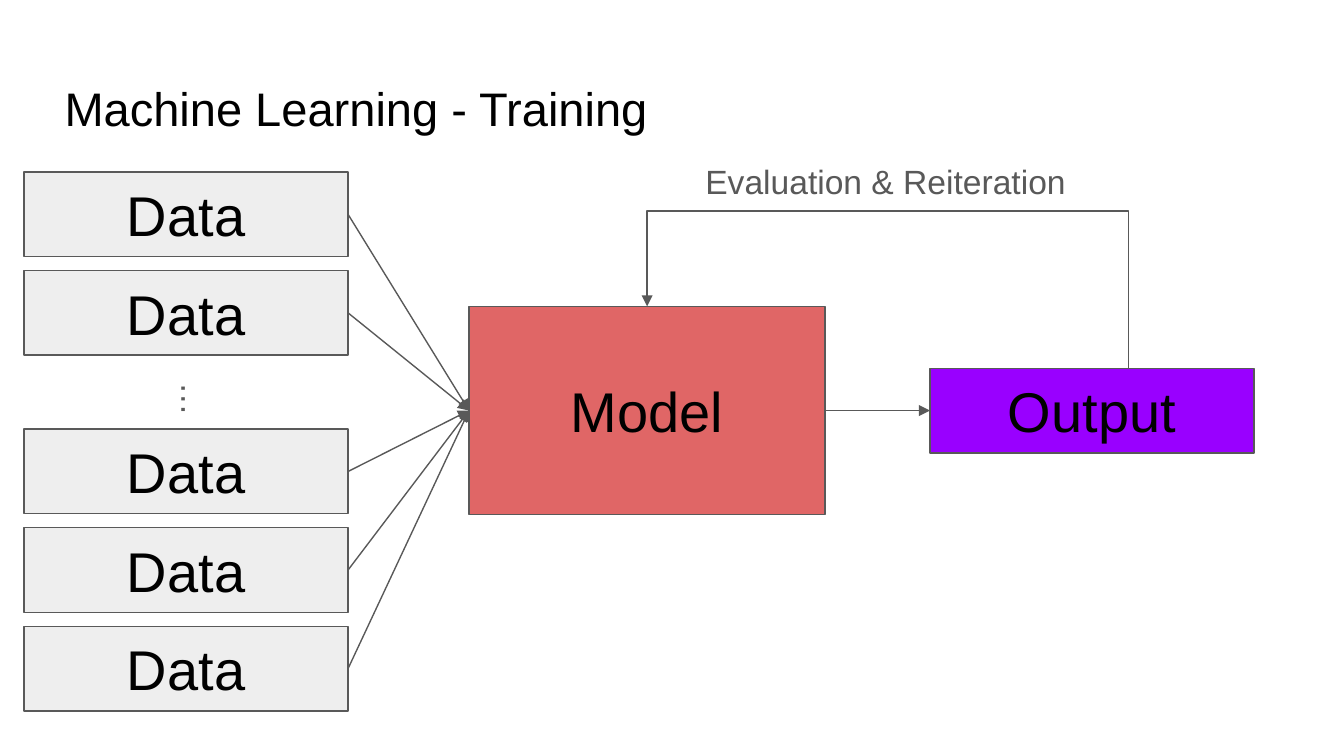
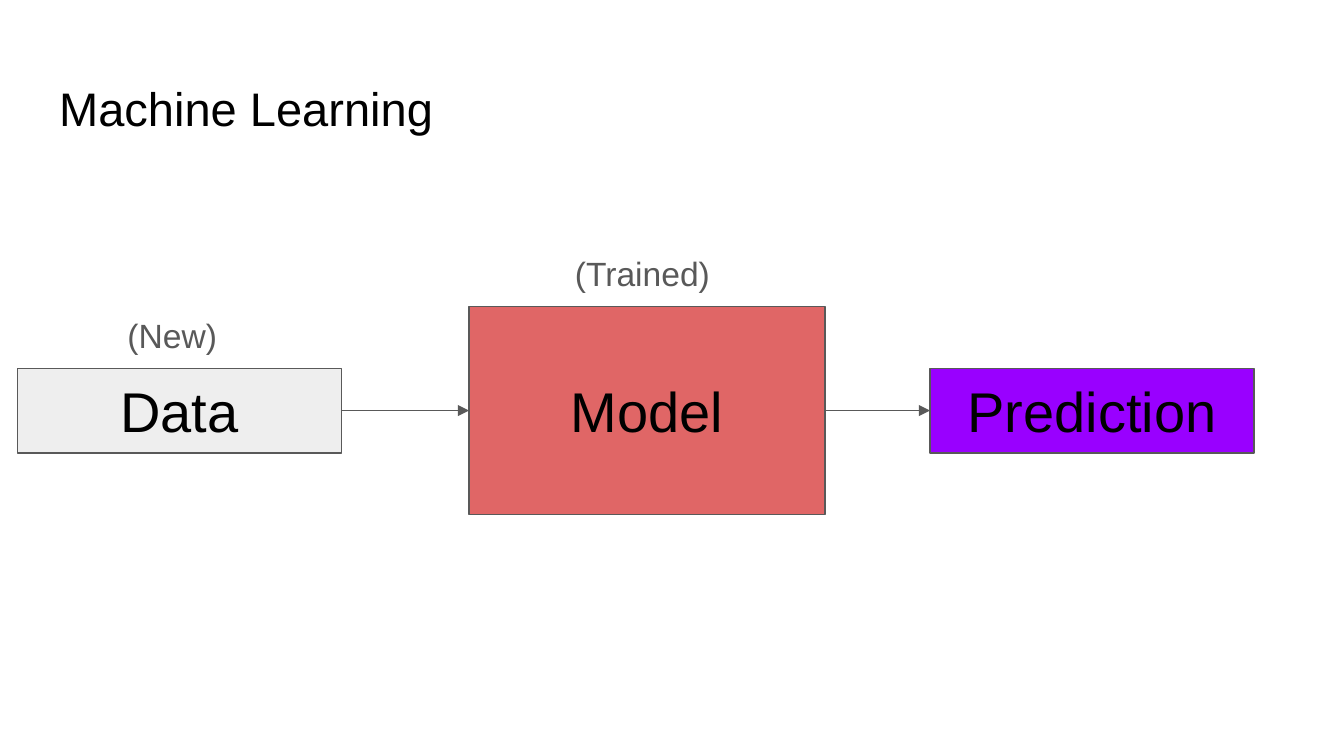
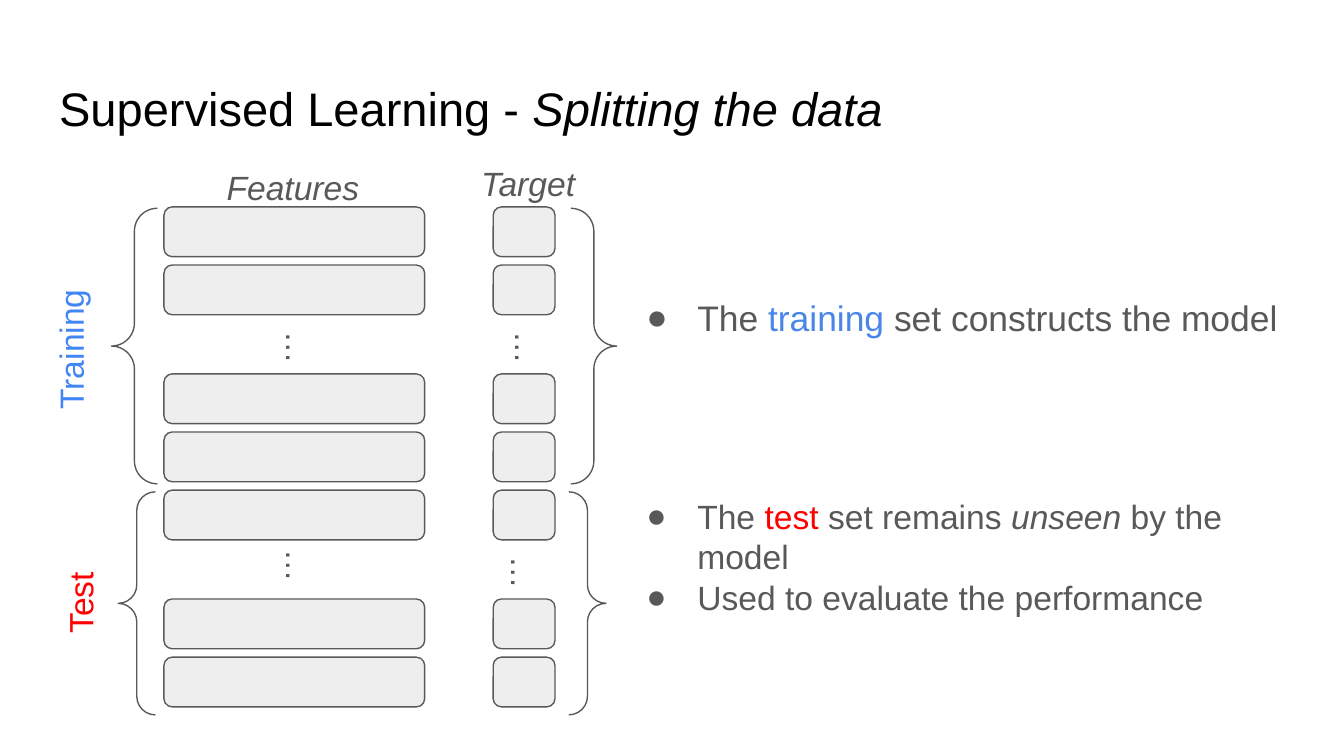
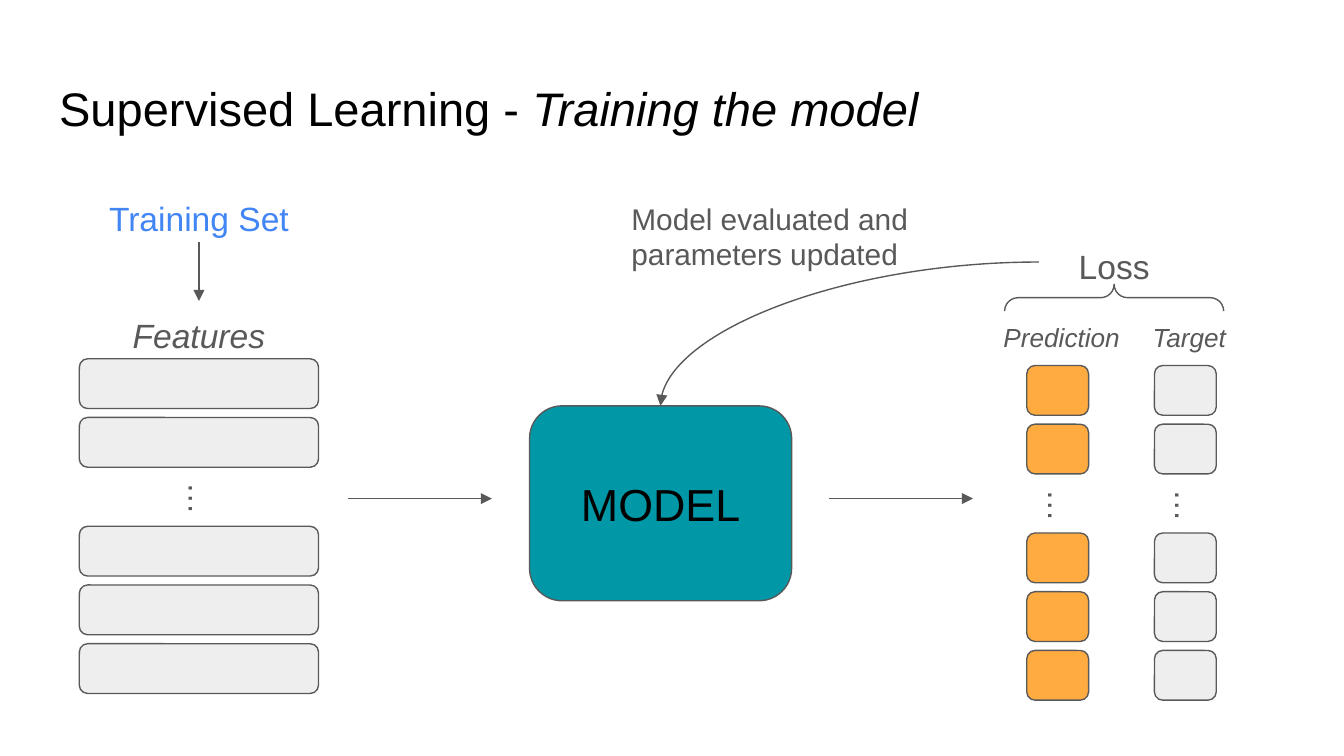
from lxml import etree
from pptx import Presentation
from pptx import util as u
from pptx.dml.color import RGBColor
from pptx.enum import shapes, text
from pptx.oxml import ns

COLORS = {
    "ink": "000000", "gray": "595959", "card": "EEEEEE", "model": "E06666",
    "output": "9900FF", "teal": "0097A7", "orange": "FFAB40", "white": "FFFFFF",
    "train": "4285F4", "train_word": "4A86E8", "test": "FF0000",
}
FONT = "Arial"
INSET = 0.1
SLIDE_W = 10
ROW_H, ROW_BREAK = 0.37, 0.81
DATA_W, DATA_H, DATA_BREAK = 2.41, 0.63, 1.18
KIND = shapes.MSO_SHAPE
LEFT, CENTER = text.PP_ALIGN.LEFT, text.PP_ALIGN.CENTER
TOP, MIDDLE = text.MSO_ANCHOR.TOP, text.MSO_ANCHOR.MIDDLE


def rgb(name):
    """Return the palette colour with this name."""
    return RGBColor.from_string(COLORS[name])


def inches(box):
    """Turn numbers into lengths."""
    return [u.Inches(v) for v in box]


def sub(parent, tag, **attrs):
    """Append a DrawingML element."""
    return etree.SubElement(parent, ns.qn(tag), attrs)


def add_bullet(p):
    """Give a paragraph a hanging round bullet."""
    pPr = p._p.get_or_add_pPr()
    pPr.set("marL", str(u.Inches(0.5)))
    pPr.set("indent", str(u.Inches(-0.38)))
    sub(sub(pPr, "a:buClr"), "a:srgbClr", val=COLORS["gray"])
    sub(pPr, "a:buFont", typeface=FONT)
    sub(pPr, "a:buChar", char="●")


def write(tf, content, size=18, color="gray", italic=False, align=LEFT,
          anchor=TOP, bullet=False, raised=False):
    """Write a string, or paragraphs of (text, overrides) runs, into a frame."""
    tf.word_wrap = True
    tf.auto_size = text.MSO_AUTO_SIZE.NONE
    tf.vertical_anchor = anchor
    tf.margin_left = tf.margin_right = tf.margin_top = tf.margin_bottom = u.Inches(INSET)
    paragraphs = [[(content, {})]] if isinstance(content, str) else content
    for i, runs in enumerate(paragraphs):
        p = tf.add_paragraph() if i else tf.paragraphs[0]
        p.alignment = align
        if bullet:
            add_bullet(p)
        for words, change in runs:
            r = p.add_run()
            r.text = words
            r.font.name, r.font.size = FONT, u.Pt(size)
            r.font.italic = change.get("italic", italic)
            r.font.color.rgb = rgb(change.get("color", color))
            if raised:
                r._r.get_or_add_rPr().set("baseline", "30000")


def add_label(s, content, box, rotation=0, fill=None, **fmt):
    """Add a text box."""
    sp = s.shapes.add_textbox(*inches(box))
    sp.rotation = rotation
    if fill:
        sp.fill.solid()
        sp.fill.fore_color.rgb = rgb(fill)
    write(sp.text_frame, content, **fmt)
    return sp


def add_block(s, box, fill=None, kind=KIND.RECTANGLE, content=None, size=30):
    """Add an outlined shape with optional fill and centred text."""
    sp = s.shapes.add_shape(kind, *inches(box))
    sp.shadow.inherit = False
    if fill:
        sp.fill.solid()
        sp.fill.fore_color.rgb = rgb(fill)
    else:
        sp.fill.background()
    sp.line.color.rgb, sp.line.width = rgb("gray"), u.Pt(0.75)
    if content:
        write(sp.text_frame, content, size=size, color="ink", align=CENTER, anchor=MIDDLE)
    return sp


def add_arrow(s, start=(0, 0), end=(0, 0), begin=None, finish=None,
              kind=shapes.MSO_CONNECTOR.STRAIGHT, preset=None, adjust=()):
    """Add an arrow between points or (shape, side) joints."""
    c = s.shapes.add_connector(kind, *inches([*start, *end]))
    if begin:
        c.begin_connect(*begin)
    if finish:
        c.end_connect(*finish)
    c.line.color.rgb, c.line.width = rgb("gray"), u.Pt(0.75)
    sub(c.line._get_or_add_ln(), "a:tailEnd", type="triangle")
    spPr = c._element.spPr
    sub(spPr, "a:effectLst")
    if preset:
        geom = spPr.find(ns.qn("a:prstGeom"))
        geom.set("prst", preset)
        guides = geom.find(ns.qn("a:avLst"))
        for i, value in enumerate(adjust, 1):
            sub(guides, "a:gd", name=f"adj{i}", fmla=f"val {value}")
    return c


def turn_half(c):
    """Replace the two flips of a connector by a half turn."""
    xfrm = c._element.spPr.find(ns.qn("a:xfrm"))
    for flip in ("flipH", "flipV"):
        xfrm.attrib.pop(flip, None)
    xfrm.set("rot", "10800000")


def add_stack(s, box, groups, row_h=ROW_H, step=ROW_BREAK, fill="card",
              kind=KIND.ROUNDED_RECTANGLE, content=None, dots=(), dots_fill=None):
    """Fill a box with groups of equal rows and place dots in the breaks."""
    x, y, w, h = box
    breaks = len(groups) - 1
    pitch = (h - row_h - step * breaks) / (sum(groups) - 1 - breaks)
    rows, top = [], y
    for count in groups:
        for i in range(count):
            rows.append(add_block(s, (x, top, w, row_h), fill, kind, content))
            top += pitch if i < count - 1 else step
    for dx, dy, dw, dh in dots:
        add_label(s, "…", (x + dx, y + dy, dw, dh), rotation=90, fill=dots_fill,
                  size=30, raised=True)
    return rows


def add_slide(prs, heading, emphasis="", left=0.34):
    """Add a title-only slide with its heading."""
    s = prs.slides.add_slide(prs.slide_layouts[5])
    title = s.shapes.title
    title.left, title.top, title.width, title.height = inches((left, 0.49, 9.32, 0.63))
    runs = [(heading, {})]
    if emphasis:
        runs.append((emphasis, {"italic": True}))
    write(title.text_frame, [runs], size=25.2, color="ink")
    return s


def add_model_flow(s, box, result):
    """Place the model and its result at the two ends of a box."""
    x, y, w, h = box
    model = add_block(s, (x, y, 2.65, h), "model", content="Model")
    output = add_block(s, (x + w - DATA_W, y + (h - DATA_H) / 2, DATA_W, DATA_H),
                       "output", content=result)
    add_arrow(s, begin=(model, 3), finish=(output, 1))
    return model


def training_slide(prs, flow):
    """Show many data blocks feeding a model that is evaluated again."""
    s = add_slide(prs, "Machine Learning - Training", left=0.38)
    model = add_model_flow(s, flow, "Output")
    loop = add_arrow(s, (8.42, 2.74), finish=(model, 0), kind=shapes.MSO_CONNECTOR.ELBOW,
                     preset="bentConnector4", adjust=(700, 254400))
    turn_half(loop)
    data = add_stack(s, (0.18, 1.28, DATA_W, 4.01), (2, 3), DATA_H, DATA_BREAK,
                     kind=KIND.RECTANGLE, content="Data")
    for sp in data:
        add_arrow(s, begin=(sp, 3), finish=(model, 1))
    add_label(s, "…", (1.16, 2.66, 0.45, 0.63), rotation=90)
    add_label(s, "Evaluation & Reiteration", (5.15, 1.1, 2.93, 0.47))


def prediction_slide(prs, flow):
    """Show new data passing through the trained model."""
    s = add_slide(prs, "Machine Learning")
    model = add_model_flow(s, flow, "Prediction")
    data = add_block(s, (0.13, 2.74, DATA_W, DATA_H), "card", content="Data")
    add_arrow(s, begin=(data, 3), finish=(model, 1))
    add_label(s, "(New)", (0.85, 2.24, 0.95, 0.5))
    add_label(s, "(Trained)", (4.18, 1.78, 1.27, 0.5))


def splitting_slide(prs):
    """Show the rows divided into training and test sets."""
    s = add_slide(prs, "Supervised Learning - ", "Splitting the data")
    top, height, groups = 1.54, 3.72, (2, 3, 2)
    add_stack(s, (1.22, top, 1.94, height), groups,
              dots=[(0.87, 0.9, 0.5, 0.36), (0.87, 2.52, 0.5, 0.36)])
    add_stack(s, (3.67, top, 0.46, height), groups,
              dots=[(0.01, 0.78, 0.5, 0.59), (-0.02, 2.46, 0.5, 0.59)])
    add_label(s, "Features", (1.05, 1.14, 2.26, 0.37), italic=True, align=CENTER)
    add_label(s, "Target", (3.35, 1.11, 1.16, 0.43), italic=True, align=CENTER)
    for brace in ((0.83, 1.55, 3.76, 2.05), (0.88, 3.66, 3.63, 1.66)):
        add_block(s, brace, kind=KIND.DOUBLE_BRACE)
    add_label(s, "Training", (-0.09, 2.35, 1.16, 0.43), rotation=270, color="train")
    add_label(s, "Test", (0.16, 4.27, 0.8, 0.43), rotation=270, color="test", align=CENTER)
    add_label(s, [[("The ", {}), ("training", {"color": "train_word"}),
                   (" set constructs the model", {})]],
              (4.59, 2.1, 5.28, 0.63), size=19, bullet=True)
    add_label(s, [[("The ", {}), ("test", {"color": "test"}), (" set remains ", {}),
                   ("unseen", {"italic": True}), (" by the model", {})],
                  [("Used to evaluate the performance", {})]],
              (4.59, 3.59, 5.28, 1.62), bullet=True)


def fitting_slide(prs):
    """Show features, model, predictions and the loss that updates the model."""
    s = add_slide(prs, "Supervised Learning - ", "Training the model")
    groups, height = (2, 3), 2.49
    add_stack(s, (0.59, 2.67, 1.78, height), groups, dots=[(0.79, 0.91, 0.5, 0.33)])
    add_stack(s, (8.59, 2.72, 0.46, height), groups, dots=[(0, 0.78, 0.5, 0.59)])
    add_stack(s, (7.64, 2.72, 0.46, height), groups, fill="orange",
              dots=[(0.08, 0.7, 0.35, 0.59)], dots_fill="white")
    features = add_label(s, "Features", (0.44, 2.24, 2.08, 0.37), italic=True, align=CENTER)
    for name, x in (("Prediction", 7.32), ("Target", 8.27)):
        add_label(s, name, (x, 2.29, 1.16, 0.43), size=14, italic=True, align=CENTER)
    model = add_block(s, (3.94, 3.02, 1.95, 1.45), "teal", KIND.ROUNDED_RECTANGLE,
                      "MODEL", size=24)
    for x in (2.59, 6.17):
        add_arrow(s, (x, 3.71), (x + 1.07, 3.71))
    brace = add_block(s, (8.19, 1.4, 0.2, 1.63), kind=KIND.RIGHT_BRACE)
    brace.rotation = 270
    brace.adjustments[0] = brace.adjustments[1] = 0.5
    add_label(s, "Loss", (7.91, 1.73, 0.76, 0.37), align=CENTER)
    add_arrow(s, (7.73, 1.95), finish=(model, 0), kind=shapes.MSO_CONNECTOR.CURVE,
              preset="curvedConnector2")
    add_label(s, "Model evaluated and parameters updated", (4.6, 1.39, 2.43, 0.73), size=16)
    source = add_label(s, "Training Set", (0.59, 1.37, 1.78, 0.43), color="train", align=CENTER)
    add_arrow(s, begin=(source, 2), finish=(features, 0))


def main():
    """Build the four slides and save them."""
    prs = Presentation()
    prs.slide_width, prs.slide_height = inches((SLIDE_W, SLIDE_W * 9 / 16))
    flow = (3.49, 2.28, 5.84, 1.55)
    training_slide(prs, flow)
    prediction_slide(prs, flow)
    splitting_slide(prs)
    fitting_slide(prs)
    prs.save("out.pptx")


if __name__ == "__main__":
    main()
